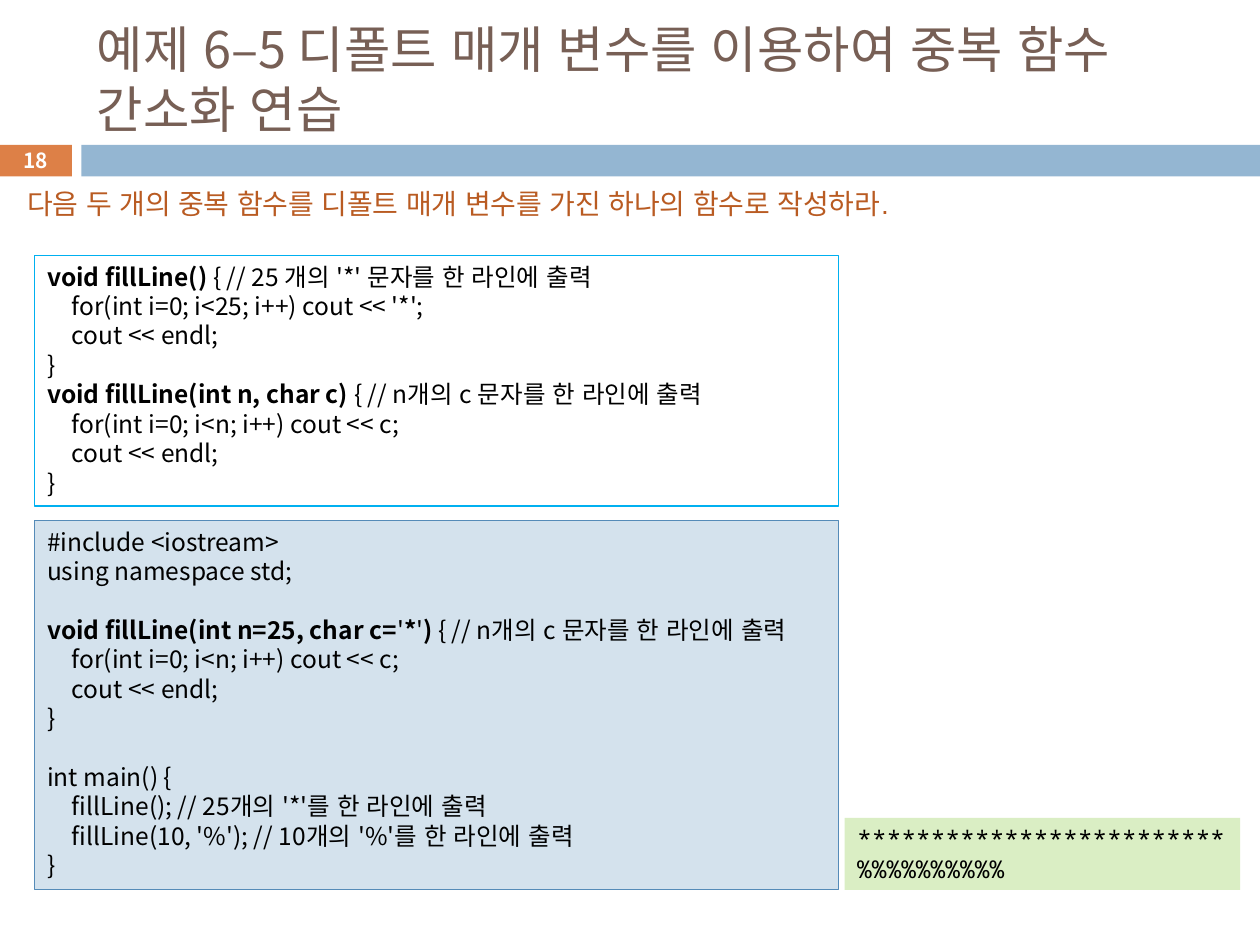
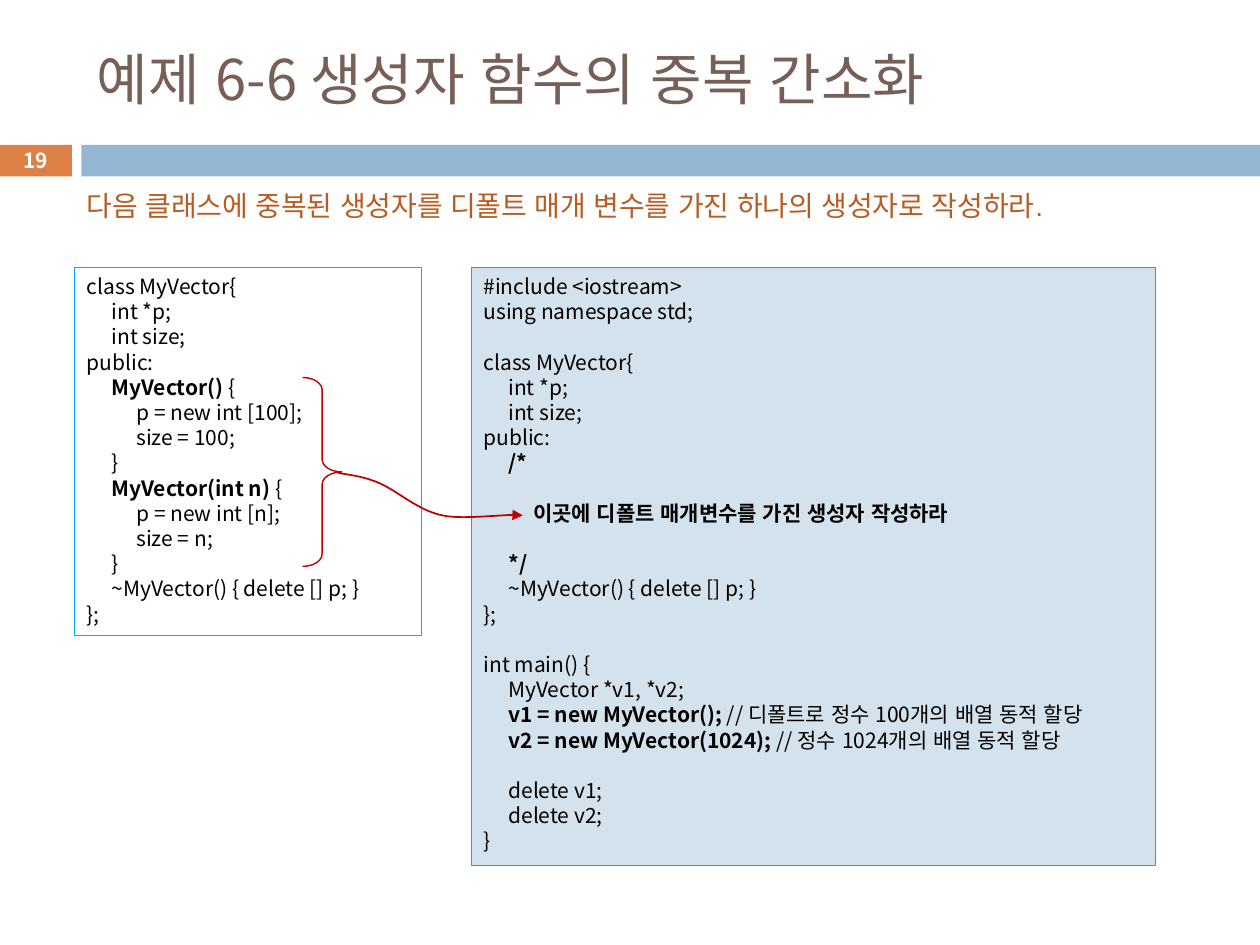
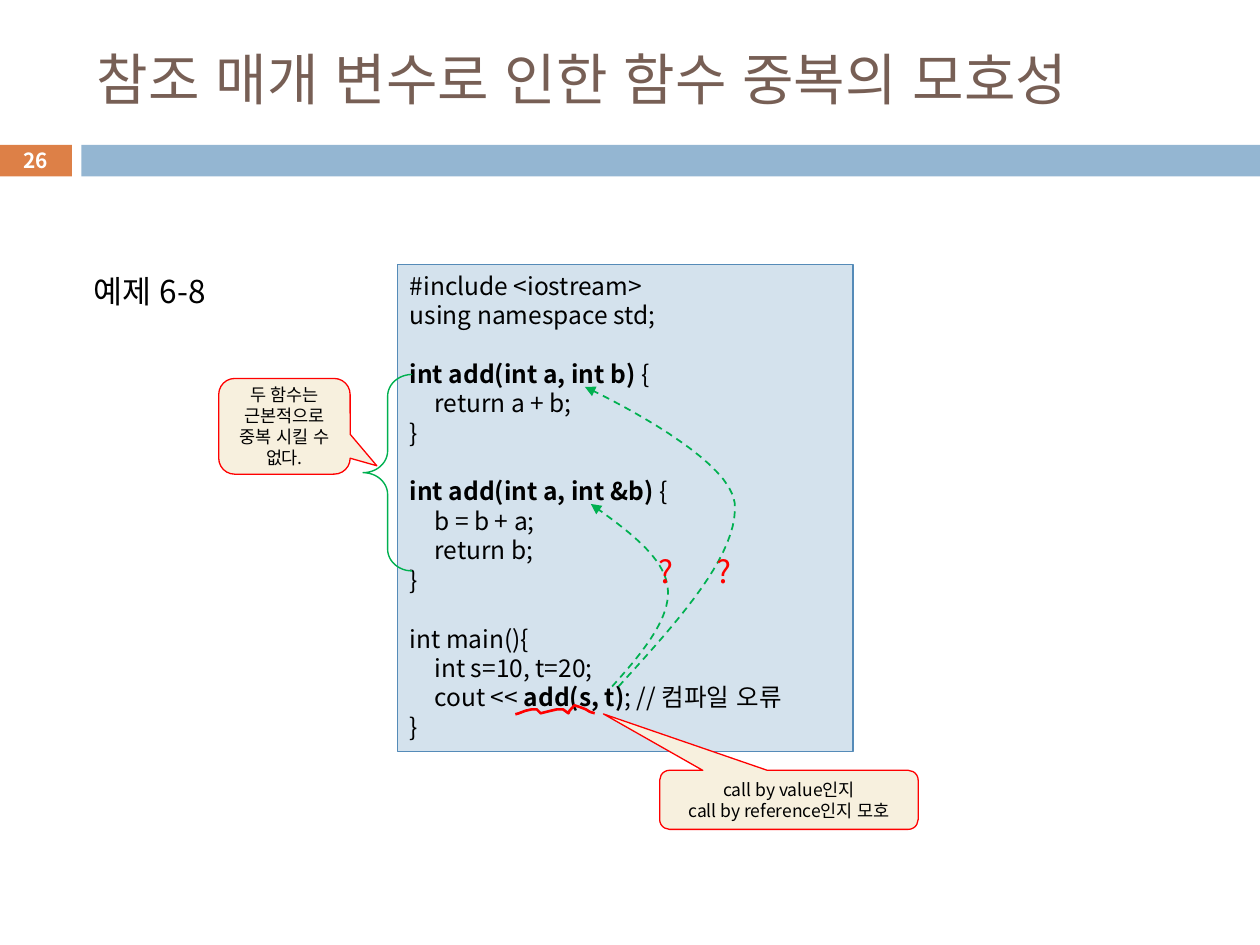
from dataclasses import dataclass

from lxml.etree import SubElement
from pptx import Presentation
from pptx.dml.color import RGBColor as RGB
from pptx.enum.dml import MSO_LINE
from pptx.enum.shapes import MSO_SHAPE as SHAPE, PP_PLACEHOLDER as PH
from pptx.enum.text import MSO_ANCHOR as ANCHOR, MSO_AUTO_SIZE as AUTO, PP_ALIGN as ALIGN
from pptx.oxml.ns import qn
from pptx.util import Cm, Pt


@dataclass(frozen=True)
class Theme:
    # Fonts
    font: str = "Noto Sans CJK KR"
    prompt_font: str = "Arial"
    east_asian: str = "Arial"
    mono: str = "Noto Sans Mono"
    # Colours
    title: str = "775F55"
    prompt: str = "B95B22"
    text: str = "000000"
    white: str = "FFFFFF"
    number_band: str = "DD8047"
    band: str = "94B6D2"
    code_fill: str = "D4E2ED"
    code_line: str = "558BB8"
    task_line: str = "00B0F0"
    output_fill: str = "DAEEC4"
    callout_fill: str = "F7F0DE"
    red: str = "FF0000"
    dark_red: str = "C00000"
    green: str = "00B050"
    # Type sizes and spacing
    title_size: float = 32
    long_title_size: float = 28.8
    label_size: float = 18
    prompt_size: float = 16
    code_size: float = 14
    small_code_size: float = 12
    number_size: float = 11.9
    callout_size: float = 10
    pitch: float = 1.2
    tab: float = 0.5


T = Theme()


# Text
def write(tf, text, size=T.code_size, font=T.font, color=T.text, bold=False,
          align=ALIGN.LEFT, anchor=ANCHOR.TOP, wrap=True):
    """Backticks toggle bold, leading tabs indent, empty lines become spacing."""
    tf.word_wrap, tf.vertical_anchor, tf.auto_size = wrap, anchor, AUTO.NONE
    p, gap = None, 0
    for line in text.split("\n"):
        if not line:
            gap += 1
            continue
        p = tf.add_paragraph() if p else tf.paragraphs[0]
        content = line.lstrip("\t")
        depth = len(line) - len(content)
        p.alignment = align
        p.line_spacing = Pt(size * T.pitch)
        p.space_before = Pt(gap * size * T.pitch)
        if depth:
            p._p.get_or_add_pPr().set("marL", str(Cm(depth * T.tab)))
        gap = 0
        for i, part in enumerate(content.split("`")):
            if part:
                r = p.add_run()
                r.text = part
                r.font.size, r.font.name = Pt(size), font
                r.font.bold = bold or i % 2 == 1
                r.font.color.rgb = RGB.from_string(color)
                SubElement(r._r.get_or_add_rPr(), qn("a:ea"), typeface=T.east_asian)


def add_text(s, box, text, **fmt):
    write(s.shapes.add_textbox(*map(Cm, box)).text_frame, text, **fmt)


# Shapes
def paint(sp, fill=None, line=None, width=0.75):
    sp.shadow.inherit = False
    if fill:
        sp.fill.solid()
        sp.fill.fore_color.rgb = RGB.from_string(fill)
    else:
        sp.fill.background()
    if line:
        sp.line.color.rgb = RGB.from_string(line)
        sp.line.width = Pt(width)
    else:
        sp.line.fill.background()


def add_shape(s, kind, box, adj=(), text="", fill=None, line=None, width=0.75, **fmt):
    sp = s.shapes.add_shape(kind, *map(Cm, box))
    for i, value in enumerate(adj):
        sp.adjustments[i] = value
    paint(sp, fill, line, width)
    if text:
        write(sp.text_frame, text, **fmt)
    return sp


def add_task(s, box, text, **fmt):
    add_shape(s, SHAPE.RECTANGLE, box, text=text, line=T.task_line, **fmt)


def add_code(s, box, text, **fmt):
    add_shape(s, SHAPE.RECTANGLE, box, text=text, fill=T.code_fill, line=T.code_line, **fmt)


def add_callout(s, box, tip, text):
    add_shape(s, SHAPE.ROUNDED_RECTANGULAR_CALLOUT, box, adj=(*tip, 0.167), text=text,
              fill=T.callout_fill, line=T.red, size=T.callout_size,
              align=ALIGN.CENTER, anchor=ANCHOR.MIDDLE)


def add_prompt(s, box, text):
    add_text(s, box, text, size=T.prompt_size, font=T.prompt_font, color=T.prompt)


# Outlines
def add_path(s, points, color, width):
    start, *rest = [(Cm(x), Cm(y)) for x, y in points]
    fb = s.shapes.build_freeform(*start)
    fb.add_line_segments(rest, close=False)
    sp = fb.convert_to_shape()
    paint(sp, line=color, width=width)
    return sp


def bezier(points, steps=20):
    """Points along a chain of cubic curves that share their end points."""
    result = [points[0]]
    for i in range(0, len(points) - 1, 3):
        for n in range(1, steps + 1):
            t = n / steps
            weights = ((1 - t) ** 3, 3 * t * (1 - t) ** 2, 3 * t * t * (1 - t), t ** 3)
            result.append(tuple(sum(w * pt[axis] for w, pt in zip(weights, points[i:i + 4]))
                                for axis in (0, 1)))
    return result


def add_curved_arrow(s, points, color, dash=None):
    sp = add_path(s, bezier(points), color, 1)
    if dash:
        sp.line.dash_style = dash
    SubElement(sp.element.spPr.find(qn("a:ln")), qn("a:tailEnd"), type="triangle")


# Shared slide parts
def prepare_layout(prs):
    layout = prs.slide_layouts[5]
    for ph in list(layout.placeholders):
        if ph.placeholder_format.type == PH.TITLE:
            ph.left, ph.top, ph.width, ph.height = map(Cm, (1.7, 0.64, 22.66, 1.88))
        else:
            ph.element.getparent().remove(ph.element)
    return layout


def add_bands(s, layout):
    """Draw the two bands and hand them to the layout."""
    for box, fill in (((-0.02, 2.92, 1.47, 0.64), T.number_band),
                      ((1.64, 2.92, 23.76, 0.64), T.band)):
        sp = add_shape(s, SHAPE.RECTANGLE, box, fill=fill)
        layout.shapes.element.append(sp.element)


def new_slide(prs, layout, title, number, size=T.title_size):
    s = prs.slides.add_slide(layout)
    write(s.shapes.title.text_frame, title, size=size, color=T.title, anchor=ANCHOR.MIDDLE)
    add_text(s, (-0.02, 2.88, 1.47, 0.69), number, size=T.number_size, color=T.white,
             bold=True, align=ALIGN.CENTER, anchor=ANCHOR.MIDDLE)
    return s


# Code listings
FILL_LINE_TASK = """\
`void fillLine() `{ // 25 개의 '*' 문자를 한 라인에 출력
\tfor(int i=0; i<25; i++) cout << '*';
\tcout << endl;
}
`void fillLine(int n, char c) `{ // n개의 c 문자를 한 라인에 출력
\tfor(int i=0; i<n; i++) cout << c;
\tcout << endl;
}"""

FILL_LINE_CODE = """\
#include <iostream>
using namespace std;

`void fillLine(int n=25, char c=`'`*`'`) `{ // n개의 c 문자를 한 라인에 출력
\tfor(int i=0; i<n; i++) cout << c;
\tcout << endl;
}

int main() {
\tfillLine(); // 25개의 '*'를 한 라인에 출력
\tfillLine(10, '%'); // 10개의 '%'를 한 라인에 출력
}"""

VECTOR_TASK = """\
class MyVector{
\tint *p;
\tint size;
public:
\t`MyVector() `{
\t\tp = new int [100];
\t\tsize = 100;
\t}
\t`MyVector(int n) `{
\t\tp = new int [n];
\t\tsize = n;
\t}
\t~MyVector() { delete [] p; }
};"""

VECTOR_CODE = """\
#include <iostream>
using namespace std;

class MyVector{
\tint *p;
\tint size;
public:
\t`/*`

\t\t`이곳에 디폴트 매개변수를 가진 생성자 작성하라`

\t`*/`
\t~MyVector() { delete [] p; }
};

int main() {
\tMyVector *v1, *v2;
\t`v1 = new MyVector(); `// 디폴트로 정수 100개의 배열 동적 할당
\t`v2 = new MyVector(1024); `// 정수 1024개의 배열 동적 할당

\tdelete v1;
\tdelete v2;
}"""

ADD_CODE = """\
#include <iostream>
using namespace std;

`int add(int a, int b) `{
\treturn a + b;
}

`int add(int a, int &b) `{
\tb = b + a;
\treturn b;
}

int main(){
\tint s=10, t=20;
\tcout << `add(s, t)`; // 컴파일 오류
}"""

# Curves, in centimetres
TO_NEW_CONSTRUCTOR = [(6.81, 9.53), (7.06, 9.58), (7.34, 9.6), (7.67, 9.75), (8.03, 9.91),
                      (8.43, 10.29), (8.92, 10.39), (9.37, 10.49), (10.34, 10.34),
                      (10.54, 10.39)]
TO_REFERENCE_ADD = [(12.34, 13.84), (12.95, 13.16), (13.54, 12.45), (13.46, 11.84),
                    (13.39, 11.23), (12.65, 10.69), (11.91, 10.16)]
TO_VALUE_ADD = [(12.47, 13.84), (13.69, 12.5), (14.91, 11.15), (14.81, 10.13),
                (14.68, 9.14), (11.79, 7.8), (11.79, 7.8)]
ERROR_UNDERLINE = [(10.39, 14.4), (10.46, 14.38), (10.59, 14.33), (10.72, 14.3), (10.82, 14.3),
                   (10.9, 14.38), (11.1, 14.33), (11.23, 14.3), (11.35, 14.3), (11.46, 14.38),
                   (11.48, 14.33), (11.58, 14.22), (11.68, 14.25), (11.81, 14.3),
                   (11.89, 14.35), (11.99, 14.38)]


# Slides
def fill_line_slide(prs, layout):
    s = new_slide(prs, layout, "예제 6–5 디폴트 매개 변수를 이용하여 중복 함수 간소화 연습",
                  "18", size=T.long_title_size)
    add_bands(s, layout)
    add_task(s, (0.7, 5.15, 16.21, 5.05), FILL_LINE_TASK)
    add_prompt(s, (0.3, 3.63, 23.8, 0.94),
               "다음 두 개의 중복 함수를 디폴트 매개 변수를 가진 하나의 함수로 작성하라.")
    add_code(s, (0.7, 10.49, 16.21, 7.44), FILL_LINE_CODE)
    add_shape(s, SHAPE.RECTANGLE, (17.03, 16.49, 7.97, 1.45), fill=T.output_fill,
              text="*" * 25 + "\n" + "%" * 10, font=T.mono, wrap=False)


def vector_slide(prs, layout):
    s = new_slide(prs, layout, "예제 6-6 생성자 함수의 중복 간소화", "19")
    add_prompt(s, (1.5, 3.68, 21.79, 0.94),
               "다음 클래스에 중복된 생성자를 디폴트 매개 변수를 가진 하나의 생성자로 작성하라.")
    add_task(s, (1.5, 5.39, 7, 7.43), VECTOR_TASK, size=T.small_code_size)
    add_code(s, (9.5, 5.39, 13.79, 12.06), VECTOR_CODE, size=T.small_code_size)
    add_shape(s, SHAPE.RIGHT_BRACE, (6.1, 7.61, 0.79, 3.81), adj=(0.318, 0.5),
              line=T.dark_red, width=0.79)
    add_curved_arrow(s, TO_NEW_CONSTRUCTOR, T.dark_red)


def ambiguity_slide(prs, layout):
    s = new_slide(prs, layout, "참조 매개 변수로 인한 함수 중복의 모호성", "26")
    add_code(s, (8.01, 5.33, 9.19, 9.82), ADD_CODE)
    for points in (TO_REFERENCE_ADD, TO_VALUE_ADD):
        add_curved_arrow(s, points, T.green, dash=MSO_LINE.DASH)
    add_callout(s, (13.3, 15.53, 5.21, 1.19), (-0.718, -1.456),
                "call by value인지\ncall by reference인지 모호")
    for left in (13.03, 14.2):
        add_text(s, (left, 11, 0.81, 1.02), "?", size=T.label_size, color=T.red, wrap=False)
    add_shape(s, SHAPE.LEFT_BRACE, (7.32, 7.55, 0.99, 3.96), adj=(0.444, 0.5),
              line=T.green, width=0.79)
    add_callout(s, (4.41, 7.63, 2.65, 1.93), (0.703, 0.412),
                "두 함수는 근본적으로\n중복 시킬 수 없다.")
    add_path(s, ERROR_UNDERLINE, T.red, 1.5)
    add_text(s, (1.63, 5.35, 3.23, 1.02), "예제 6-8", size=T.label_size, wrap=False)


def main():
    prs = Presentation()
    prs.slide_width, prs.slide_height = Cm(25.4), Cm(19.05)
    layout = prepare_layout(prs)
    fill_line_slide(prs, layout)
    vector_slide(prs, layout)
    ambiguity_slide(prs, layout)
    prs.save("out.pptx")


if __name__ == "__main__":
    main()
